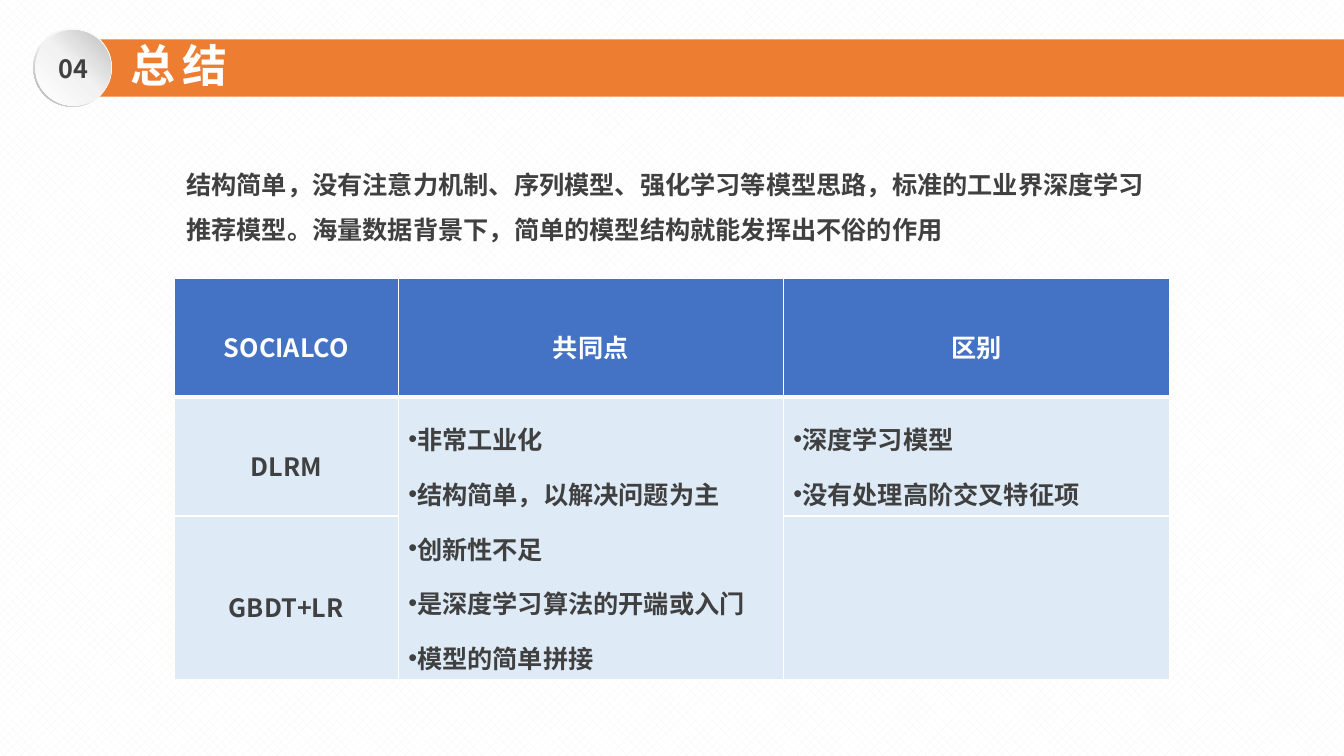
from dataclasses import dataclass

from lxml import etree
from pptx import Presentation
from pptx import util as u
from pptx.dml.color import RGBColor
from pptx.enum import dml, shapes, text
from pptx.oxml import ns

FONT = "Noto Sans CJK SC"
COLORS = {
    "white": "FFFFFF",
    "weave": "F5F5F5",
    "orange": "ED7D31",
    "ink": "404040",
    "header": "4472C4",
    "body": "DEEBF7",
    "light": "F2F2F2",
    "rim": "A6A6A6",
    "shade": "BFBFBF",
}


@dataclass(frozen=True)
class Area:
    left: float
    top: float
    width: float
    height: float

    def lengths(self) -> list:
        return [u.Inches(v) for v in (self.left, self.top, self.width, self.height)]


@dataclass(frozen=True)
class Disc:
    kind: shapes.MSO_SHAPE
    area: Area
    stops: tuple
    angle: int


@dataclass(frozen=True)
class Entry:
    row: int
    column: int
    lines: tuple
    hanging: float = 0


DISCS = (
    Disc(shapes.MSO_SHAPE.DONUT, Area(0.33, 0.28, 0.78, 0.78),
         ((0, "white"), (55, "light"), (100, "rim")), 135),
    Disc(shapes.MSO_SHAPE.OVAL, Area(0.35, 0.3, 0.75, 0.75),
         ((0, "white"), (51, "light"), (100, "shade")), 315),
)
COLUMN_WIDTHS = (2.22, 3.82, 3.83)
ROW_HEIGHTS = (1.18, 1.18, 1.62)
ENTRIES = (
    Entry(0, 0, ("SOCIALCO",)),
    Entry(0, 1, ("共同点",)),
    Entry(0, 2, ("区别",)),
    Entry(1, 0, ("DLRM",)),
    Entry(1, 1, ("非常工业化", "结构简单，以解决问题为主", "创新性不足",
                 "是深度学习算法的开端或入门", "模型的简单拼接"), 0.31),
    Entry(1, 2, ("深度学习模型", "没有处理高阶交叉特征项"), 0.38),
    Entry(2, 0, ("GBDT+LR",)),
)


def rgb(color: str) -> RGBColor:
    return RGBColor.from_string(COLORS[color])


def add_child(parent, tag: str, **attributes: str):
    return etree.SubElement(parent, ns.qn(tag), **attributes)


def style_runs(paragraph, color: str, size: int = 18, spacing: int = 0) -> None:
    for run in paragraph.runs:
        run.font.size = u.Pt(size)
        run.font.bold = True
        run.font.color.rgb = rgb(color)
        run.font.name = FONT
        properties = run.font._element
        add_child(properties, "a:ea", typeface=FONT)
        if spacing:
            properties.set("spc", str(spacing * 100))


def add_plain_shape(slide, kind: shapes.MSO_SHAPE, area: Area):
    shape = slide.shapes.add_shape(kind, *area.lengths())
    shape.shadow.inherit = False
    shape.line.fill.background()
    return shape


def add_disc(slide, disc: Disc):
    shape = add_plain_shape(slide, disc.kind, disc.area)
    if disc.kind == shapes.MSO_SHAPE.DONUT:
        shape.adjustments[0] = 0.049
    shape.fill.gradient()
    gradient = shape._element.spPr.find(ns.qn("a:gradFill"))
    for child in list(gradient):
        gradient.remove(child)
    stop_list = add_child(gradient, "a:gsLst")
    for position, color in disc.stops:
        stop = add_child(stop_list, "a:gs", pos=str(position * 1000))
        add_child(stop, "a:srgbClr", val=COLORS[color])
    add_child(gradient, "a:lin", ang=str(disc.angle * 60000), scaled="0")
    return shape


def add_label(slide, area: Area, wording: str, color: str, size: int = 18,
              spacing: int = 0, line_spacing: float = 1.0) -> None:
    label = slide.shapes.add_textbox(*area.lengths())
    label.text_frame.word_wrap = True
    paragraph = label.text_frame.paragraphs[0]
    paragraph.text = wording
    paragraph.line_spacing = line_spacing
    style_runs(paragraph, color, size, spacing)


def style_cell(cell, is_header: bool) -> None:
    cell.fill.solid()
    cell.fill.fore_color.rgb = rgb("header" if is_header else "body")
    cell.vertical_anchor = text.MSO_ANCHOR.MIDDLE
    properties = cell._tc.get_or_add_tcPr()
    for index, side in enumerate("LRTB"):
        points = 3 if is_header and side == "B" else 1
        border = etree.Element(ns.qn(f"a:ln{side}"), w=str(u.Pt(points)))
        add_child(add_child(border, "a:solidFill"), "a:srgbClr", val=COLORS["white"])
        properties.insert(index, border)


def write_entry(cell, entry: Entry) -> None:
    frame = cell.text_frame
    frame.text = "\n".join(entry.lines)
    for paragraph in frame.paragraphs:
        paragraph.line_spacing = 1.5
        if entry.hanging:
            properties = paragraph._p.get_or_add_pPr()
            properties.set("marL", "0")
            properties.set("indent", str(-u.Inches(entry.hanging)))
            add_child(properties, "a:buFont", typeface="Arial")
            add_child(properties, "a:buChar", char="•")
        else:
            paragraph.alignment = text.PP_ALIGN.CENTER
        style_runs(paragraph, "white" if entry.row == 0 else "ink")


def add_comparison(slide) -> None:
    area = Area(1.73, 2.76, sum(COLUMN_WIDTHS), sum(ROW_HEIGHTS))
    comparison = slide.shapes.add_table(
        len(ROW_HEIGHTS), len(COLUMN_WIDTHS), *area.lengths()).table
    comparison.horz_banding = False
    for column, width in zip(comparison.columns, COLUMN_WIDTHS):
        column.width = u.Inches(width)
    for index, (row, height) in enumerate(zip(comparison.rows, ROW_HEIGHTS)):
        row.height = u.Inches(height)
        for cell in row.cells:
            style_cell(cell, index == 0)
    comparison.cell(1, 1).merge(comparison.cell(2, 1))
    for entry in ENTRIES:
        write_entry(comparison.cell(entry.row, entry.column), entry)


def main() -> None:
    deck = Presentation()
    deck.slide_width, deck.slide_height = u.Inches(13.33), u.Inches(7.5)
    slide = deck.slides.add_slide(deck.slide_layouts[6])

    backdrop = add_plain_shape(slide, shapes.MSO_SHAPE.RECTANGLE, Area(0, 0, 13.33, 7.5))
    backdrop.fill.patterned()
    backdrop.fill.pattern = dml.MSO_PATTERN.WEAVE
    backdrop.fill.fore_color.rgb = rgb("weave")
    backdrop.fill.back_color.rgb = rgb("white")

    title_band = add_plain_shape(
        slide, shapes.MSO_SHAPE.RECTANGLE, Area(0.79, 0.39, 12.54, 0.57))
    title_band.fill.solid()
    title_band.fill.fore_color.rgb = rgb("orange")
    add_label(slide, Area(1.2, 0.33, 4.51, 0.64), "总结", "white", size=32, spacing=5)

    rim, badge = [add_disc(slide, disc) for disc in DISCS]
    badge.text_frame.margin_left = badge.text_frame.margin_right = 0
    badge.text_frame.vertical_anchor = text.MSO_ANCHOR.MIDDLE
    section_number = badge.text_frame.paragraphs[0]
    section_number.text = "04"
    section_number.alignment = text.PP_ALIGN.CENTER
    style_runs(section_number, "ink")

    add_comparison(slide)
    add_label(slide, Area(1.75, 1.48, 9.84, 0.99),
              "结构简单，没有注意力机制、序列模型、强化学习等模型思路，标准的工业界深度学习推荐模型。"
              "海量数据背景下，简单的模型结构就能发挥出不俗的作用", "ink", line_spacing=1.5)
    deck.save("out.pptx")


if __name__ == "__main__":
    main()
